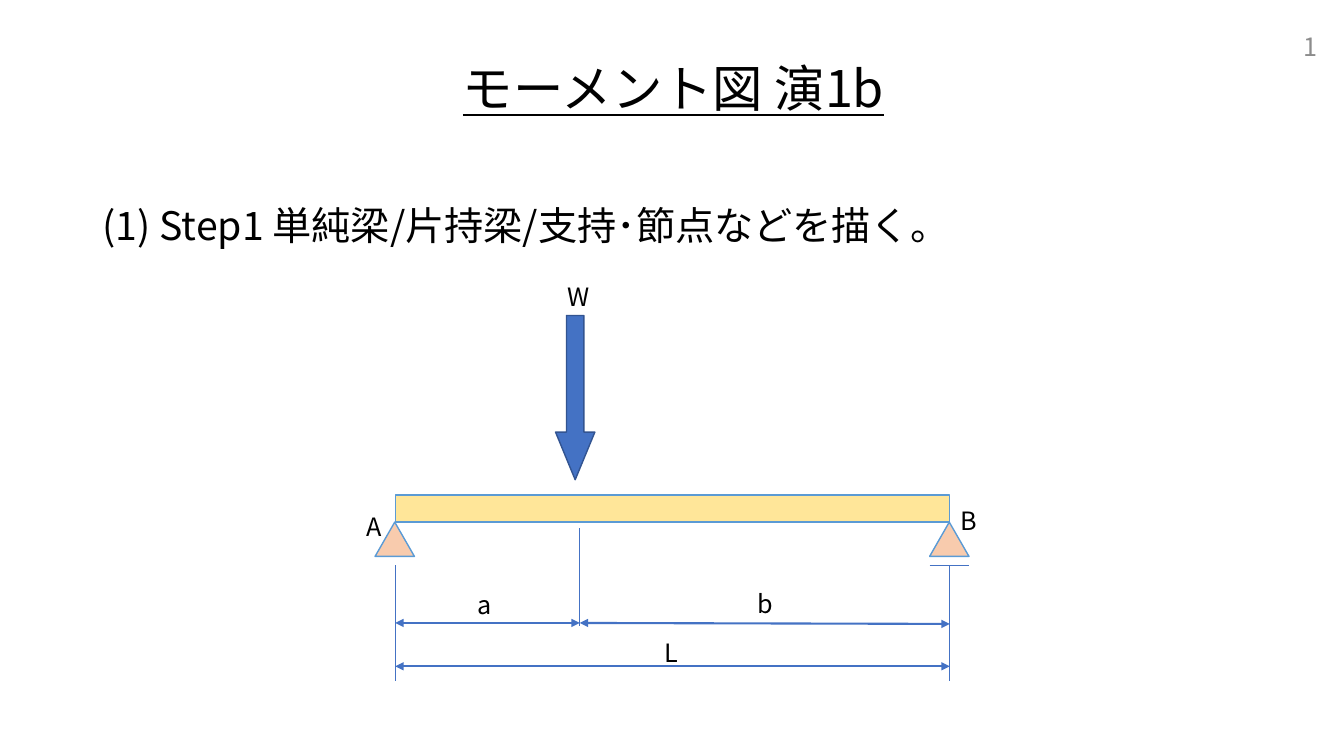
import pptx
import pptx.util
import pptx.dml.color
import pptx.enum.shapes
import pptx.enum.text
import pptx.oxml
import pptx.oxml.ns

PX = 9144
theme = {
    "font": "Noto Sans CJK JP",
    "black": "000000", "gray": "8C8C8C", "blue": "4472C4", "navy": "325491",
    "edge": "5B9BD5", "beam": "FFE699", "stand": "F8CBAD",
    "title": 36, "body": 28, "label": 18,
    "thin": 0.5, "rim": 1, "bold": 1.5,
}
kind = pptx.enum.shapes.MSO_SHAPE
align = pptx.enum.text.PP_ALIGN
anchor = pptx.enum.text.MSO_ANCHOR
fit = pptx.enum.text.MSO_AUTO_SIZE


def color(name):
    return pptx.dml.color.RGBColor.from_string(theme[name])


def write(box, text, size, frame, para, tint="black", under=None):
    body = box.text_frame
    body.text = text
    line = body.paragraphs[0]
    run = line.runs[0]
    font = {"name": theme["font"], "size": pptx.util.Pt(theme[size]), "underline": under}
    for part, form in ((body, frame), (line, para), (run.font, font)):
        for key, val in form.items():
            setattr(part, key, val)
    run.font.color.rgb = color(tint)
    east = pptx.oxml.parse_xml(f'<a:ea {pptx.oxml.ns.nsdecls("a")} typeface="{theme["font"]}"/>')
    run.font._element.find(pptx.oxml.ns.qn("a:latin")).addnext(east)


deck = pptx.Presentation()
deck.slide_width, deck.slide_height = 1333 * PX, 750 * PX
slide = deck.slides.add_slide(deck.slide_layouts[5])

fixed = {"word_wrap": True, "auto_size": fit.NONE, "vertical_anchor": anchor.MIDDLE}
title = slide.shapes.title
place = {"left": 218, "top": 28, "width": 900, "height": 125}
for key, val in place.items():
    setattr(title, key, val * PX)
write(title, "モーメント図 演1b", "title", fixed,
      {"alignment": align.CENTER, "line_spacing": 0.9}, under=True)

page = slide.shapes.add_textbox(1017 * PX, 26 * PX, 300 * PX, 40 * PX)
write(page, "1", "label", fixed, {"alignment": align.RIGHT}, "gray")

step = slide.shapes.add_textbox(92 * PX, 200 * PX, 1150 * PX, 476 * PX)
write(step, "(1) Step1 単純梁/片持梁/支持･節点などを描く。", "body",
      {**fixed, "vertical_anchor": anchor.TOP},
      {"line_spacing": 0.9, "space_before": pptx.util.Pt(10)})

left, load, right = 392, 575, 942
group = slide.shapes.add_group_shape().shapes

solids = [
    (kind.RECTANGLE, left, 491, right - left, 27, "beam", "edge"),
    (kind.ISOSCELES_TRIANGLE, left - 20, 518, 39, 34, "stand", "edge"),
    (kind.ISOSCELES_TRIANGLE, right - 20, 518, 39, 34, "stand", "edge"),
    (kind.DOWN_ARROW, 551, 313, 39, 163, "blue", "navy"),
]
for form, x, y, wide, high, fill, rim in solids:
    shape = group.add_shape(form, x * PX, y * PX, wide * PX, high * PX)
    shape.shadow.inherit = False
    shape.fill.solid()
    shape.fill.fore_color.rgb = color(fill)
    shape.line.color.rgb = color(rim)
    shape.line.width = pptx.util.Pt(theme["rim"])
    if form == kind.DOWN_ARROW:
        shape.adjustments[0], shape.adjustments[1] = 0.443, 1.211

lines = [
    (right - 20, 561, right + 19, 561, "thin"),
    (left, 561, left, 676, "thin"),
    (right, 561, right, 676, "thin"),
    (load, 524, load, 621, "thin"),
    (left, 618, load, 618, "bold"),
    (load, 618, right, 619, "bold"),
    (left, 661, right, 661, "bold"),
]
for *ends, weight in lines:
    line = group.add_connector(pptx.enum.shapes.MSO_CONNECTOR.STRAIGHT, *(n * PX for n in ends))
    line.line.color.rgb = color("blue")
    line.line.width = pptx.util.Pt(theme[weight])
    props = line._element.spPr
    pptx.oxml.ns.qn("a:effectLst")
    props.append(pptx.oxml.parse_xml(f'<a:effectLst {pptx.oxml.ns.nsdecls("a")}/>'))
    if weight == "bold":
        for tip in ("headEnd", "tailEnd"):
            mark = pptx.oxml.parse_xml(f'<a:{tip} {pptx.oxml.ns.nsdecls("a")} type="triangle"/>')
            props.find(pptx.oxml.ns.qn("a:ln")).append(mark)

labels = [
    ("a", 464, 580, 34), ("b", 741, 579, 35), ("W", 553, 274, 44),
    ("A", 354, 502, 36), ("B", 943, 496, 37), ("L", 649, 627, 35),
]
for text, x, y, wide in labels:
    box = group.add_textbox(x * PX, y * PX, wide * PX, 40 * PX)
    write(box, text, "label", {"word_wrap": False, "auto_size": fit.SHAPE_TO_FIT_TEXT}, {})

deck.save("out.pptx")
